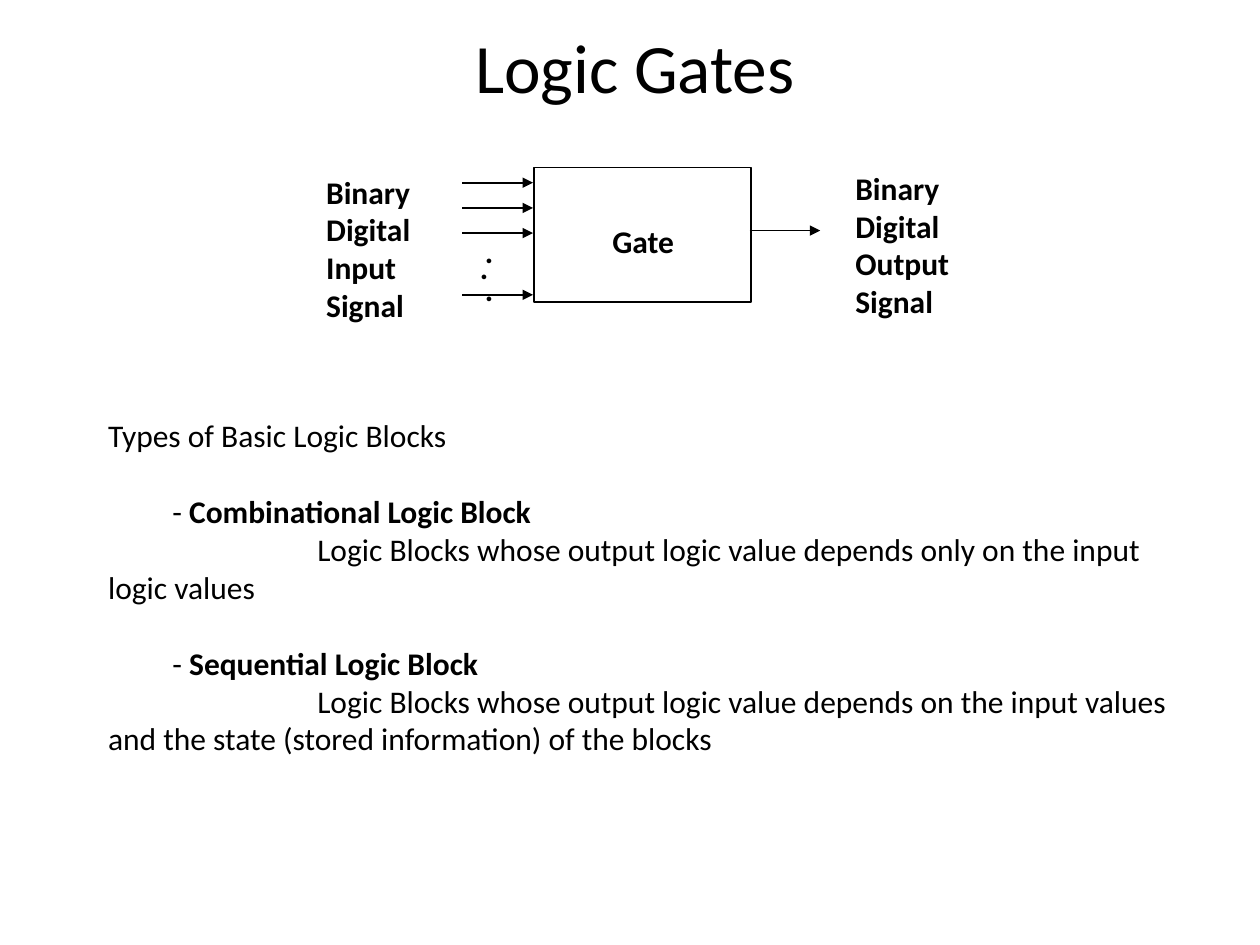
from dataclasses import dataclass

from lxml import etree
from pptx import Presentation
from pptx.dml.color import RGBColor
from pptx.enum.shapes import MSO_CONNECTOR, MSO_SHAPE
from pptx.enum.text import MSO_ANCHOR, PP_ALIGN
from pptx.oxml.ns import qn
from pptx.util import Inches, Pt

LINE = MSO_CONNECTOR.STRAIGHT
RECT = MSO_SHAPE.RECTANGLE
LEFT, CENTER = PP_ALIGN.LEFT, PP_ALIGN.CENTER
TOP, MIDDLE = MSO_ANCHOR.TOP, MSO_ANCHOR.MIDDLE


@dataclass(frozen=True)
class Theme:
    font: str = "Calibri"
    ink: RGBColor = RGBColor(0, 0, 0)
    title: float = 39.6
    body: float = 18
    line: float = 1
    gap: float = 22


THEME = Theme()


def add_text(slide, box, paras, size=THEME.body, bold=False, align=LEFT,
             anchor=TOP, wrap=False, inset=(0.1, 0.05)):
    """Each paragraph is text, or (runs, first-line indent, space before)."""
    shape = slide.shapes.add_textbox(*map(Inches, box))
    frame = shape.text_frame
    frame.word_wrap = wrap
    frame.vertical_anchor = anchor
    frame.margin_left = frame.margin_right = Inches(inset[0])
    frame.margin_top = frame.margin_bottom = Inches(inset[1])
    for i, item in enumerate(paras):
        if isinstance(item, str):
            item = ([(item, bold)], 0, 0)
        runs, indent, before = item
        para = frame.paragraphs[0] if i == 0 else frame.add_paragraph()
        para.alignment = align
        para.space_before = Pt(before)
        if indent:
            props = para._p.get_or_add_pPr()
            props.set("marL", "0")
            props.set("indent", str(Inches(indent)))
        for text, heavy in runs:
            run = para.add_run()
            run.text = text
            font = run.font
            font.name, font.size, font.bold = THEME.font, Pt(size), heavy
            font.color.rgb = THEME.ink
    return shape


def add_arrow(slide, x, y, width):
    arrow = slide.shapes.add_connector(
        LINE, Inches(x), Inches(y), Inches(x + width), Inches(y))
    arrow.line.color.rgb = THEME.ink
    arrow.line.width = Pt(THEME.line)
    etree.SubElement(arrow.line._get_or_add_ln(), qn("a:tailEnd"),
                     type="triangle")
    etree.SubElement(arrow._element.spPr, qn("a:effectLst"))


def add_title(slide, box):
    add_text(slide, box, ["Logic Gates"], size=THEME.title, align=CENTER,
             anchor=MIDDLE, wrap=True, inset=(0, 0))


def add_gate(slide, box):
    x, y, width, height = box

    # Gate block
    gate = slide.shapes.add_shape(RECT, *map(Inches, (x + 1.75, y + 0.04,
                                                      1.72, 1.07)))
    gate.shadow.inherit = False
    gate.fill.background()
    gate.line.color.rgb = THEME.ink
    gate.line.width = Pt(THEME.line)
    add_text(slide, (x + 2.24, y + 0.42, 0.75, 0.37), ["Gate"],
             bold=True, align=CENTER)

    # Signal names at the two ends
    for left, top, wide, kind in ((x, y + 0.03, 0.98, "Input"),
                                  (x + width - 1.02, y, 1.02, "Output")):
        add_text(slide, (left, top, wide, 1.18),
                 ["Binary", "Digital", kind, "Signal"], bold=True)

    # Input and output arrows
    for drop in (0.16, 0.36, 0.56, 1.05):
        add_arrow(slide, x + 1.18, y + drop, 0.56)
    add_arrow(slide, x + 3.46, y + 0.54, 0.56)

    # Dots for the inputs left out
    add_text(slide, (x + 1.26, y + 0.5, 0.27, 0.64), [".", "."], bold=True)
    add_text(slide, (x + 1.22, y + 0.63, 0.27, 0.37), ["."], bold=True)


def add_types(slide, box):
    blocks = (
        ("Combinational Logic Block",
         "Logic Blocks whose output logic value depends only on the input "
         "logic values"),
        ("Sequential Logic Block",
         "Logic Blocks whose output logic value depends on the input values "
         "and the state (stored information) of the blocks"),
    )
    paras = ["Types of Basic Logic Blocks"]
    for name, note in blocks:
        paras.append(([("- ", False), (name, True)], 0.51, THEME.gap))
        paras.append(([(note, False)], 1.66, 0))
    add_text(slide, box, paras, wrap=True)


def main():
    deck = Presentation()
    deck.slide_width, deck.slide_height = Inches(10), Inches(7.5)
    slide = deck.slides.add_slide(deck.slide_layouts[6])
    add_title(slide, (0.55, 0.32, 8.98, 0.41))
    add_gate(slide, (2.49, 1.29, 5.22, 1.21))
    add_types(slide, (0.76, 3.25, 8.68, 2.82))
    deck.save("out.pptx")


if __name__ == "__main__":
    main()
